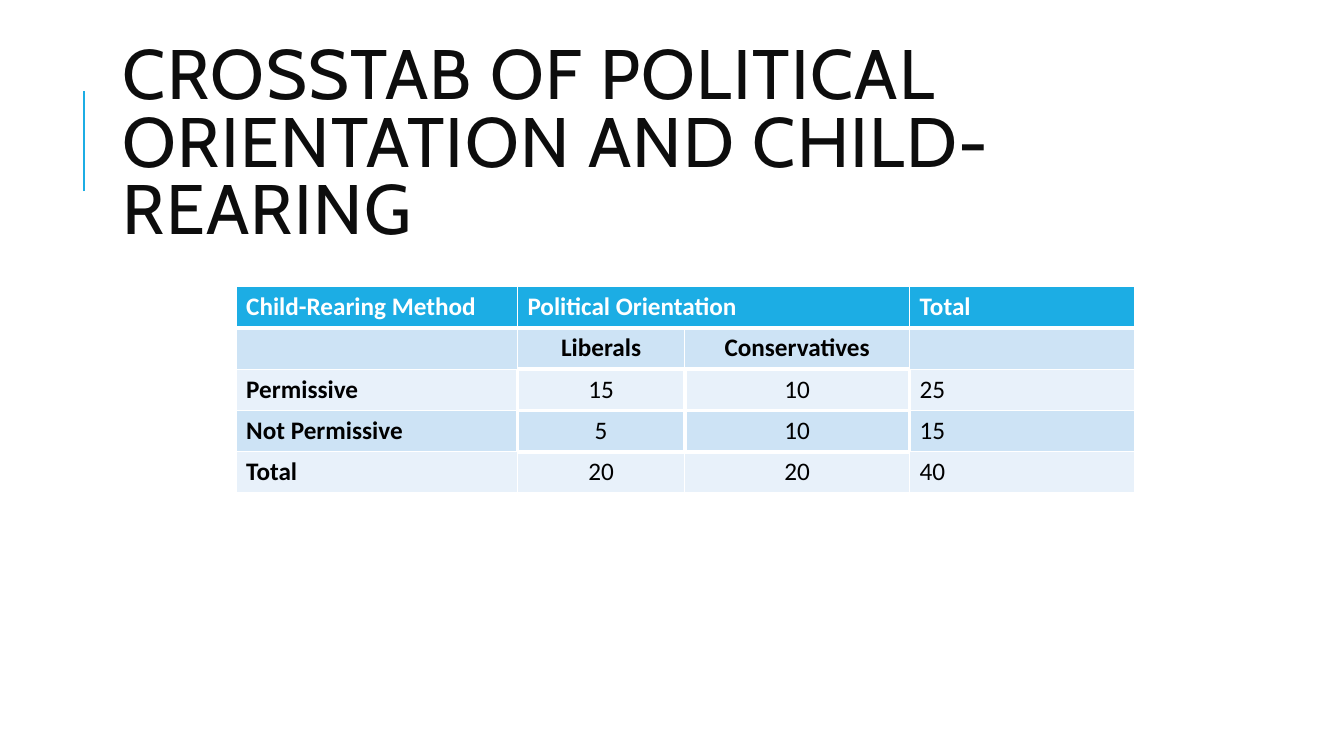
from dataclasses import dataclass

from lxml import etree
from pptx import Presentation
from pptx import util as u
from pptx.dml.color import RGBColor
from pptx.enum import shapes, text
from pptx.oxml.ns import qn

COLORS = {"accent": "1CADE4", "band_dark": "CDE3F5", "band_light": "E8F1FA",
          "title": "0D0D0D", "black": "000000", "white": "FFFFFF"}
SLIDE_W, SLIDE_H = u.Inches(13.33), u.Inches(7.5)
COL_WIDTHS = (2.79, 1.66, 2.23, 2.23)
ROW_HEIGHT = 0.41
THIN, THICK = 1, 3


@dataclass
class Row:
    labels: tuple[str, ...]
    fill: str
    color: str = "black"
    bold: tuple[bool, ...] = (True, False, False, False)
    centered: bool = True


ROWS = (
    Row(("Child-Rearing Method", "Political Orientation", "", "Total"),
        "accent", "white", (True,) * 4, False),
    Row(("", "Liberals", "Conservatives", ""), "band_dark", bold=(True,) * 4),
    Row(("Permissive", "15", "10", "25"), "band_light"),
    Row(("Not Permissive", "5", "10", "15"), "band_dark"),
    Row(("Total", "20", "20", "40"), "band_light"),
)


def rgb(name: str) -> RGBColor:
    return RGBColor.from_string(COLORS[name])


def share(x: float, y: float) -> tuple[int, int]:
    """Turn shares of the slide's size into lengths."""
    return round(SLIDE_W * x), round(SLIDE_H * y)


def style(p, font: str, size: float, color: str, bold: bool = False) -> None:
    f = p.font
    f.name, f.size, f.bold = font, u.Pt(size), bold
    f.color.rgb = rgb(color)


def edge_widths(row: int, col: int) -> dict[str, int]:
    """Thick edges lie under the header and around the four count cells."""
    def across(y: int) -> int:
        return THICK if y == 1 or (col in (1, 2) and y in (2, 3, 4)) else THIN

    def down(x: int) -> int:
        return THICK if row in (2, 3) and x in (1, 2, 3) else THIN

    return {"lnL": down(col), "lnR": down(col + 1),
            "lnT": across(row), "lnB": across(row + 1)}


def draw_cell(cell, row: Row, row_no: int, col: int) -> None:
    tc_pr = cell._tc.get_or_add_tcPr()
    for edge, width in edge_widths(row_no, col).items():
        ln = etree.SubElement(tc_pr, qn(f"a:{edge}"), w=str(u.Pt(width)))
        fill = etree.SubElement(ln, qn("a:solidFill"))
        etree.SubElement(fill, qn("a:srgbClr"), val=COLORS["white"])
    cell.fill.solid()
    cell.fill.fore_color.rgb = rgb(row.fill)
    p = cell.text_frame.paragraphs[0]
    if row.labels[col]:
        p.add_run().text = row.labels[col]
    style(p, "Calibri", 18, row.color, row.bold[col])
    if row.centered and col in (1, 2):
        p.alignment = text.PP_ALIGN.CENTER


prs = Presentation()
prs.slide_width, prs.slide_height = SLIDE_W, SLIDE_H
s = prs.slides.add_slide(prs.slide_layouts[6])

# Accent line beside the title
line = s.shapes.add_connector(shapes.MSO_CONNECTOR.STRAIGHT,
                              *share(0.0625, 0.253), *share(0.0625, 0.12))
line.line.color.rgb = rgb("accent")
line.line.width = u.Pt(1.5)
etree.SubElement(line._element.spPr, qn("a:effectLst"))

# Title
sp = s.shapes.add_textbox(*share(0.084, 0.085), *share(0.797, 0.219))
tf = sp.text_frame
tf.word_wrap = True
tf.vertical_anchor = text.MSO_ANCHOR.MIDDLE
p = tf.paragraphs[0]
p.line_spacing = 0.8
r = p.add_run()
r.text = "CROSSTAB OF POLITICAL ORIENTATION AND CHILD-REARING"
r._r.get_or_add_rPr().set("spc", "100")
style(p, "Cabin", 50, "title")

# Crosstab
table = s.shapes.add_table(
    len(ROWS), len(COL_WIDTHS), *share(0.1757, 0.379),
    u.Inches(sum(COL_WIDTHS)), u.Inches(ROW_HEIGHT * len(ROWS))).table
table.first_row = table.horz_banding = False
for column, width in zip(table.columns, COL_WIDTHS):
    column.width = u.Inches(width)
for row_no, row in enumerate(ROWS):
    table.rows[row_no].height = u.Inches(ROW_HEIGHT)
    for col in range(len(COL_WIDTHS)):
        draw_cell(table.cell(row_no, col), row, row_no, col)
table.cell(0, 1).merge(table.cell(0, 2))

prs.save("out.pptx")
